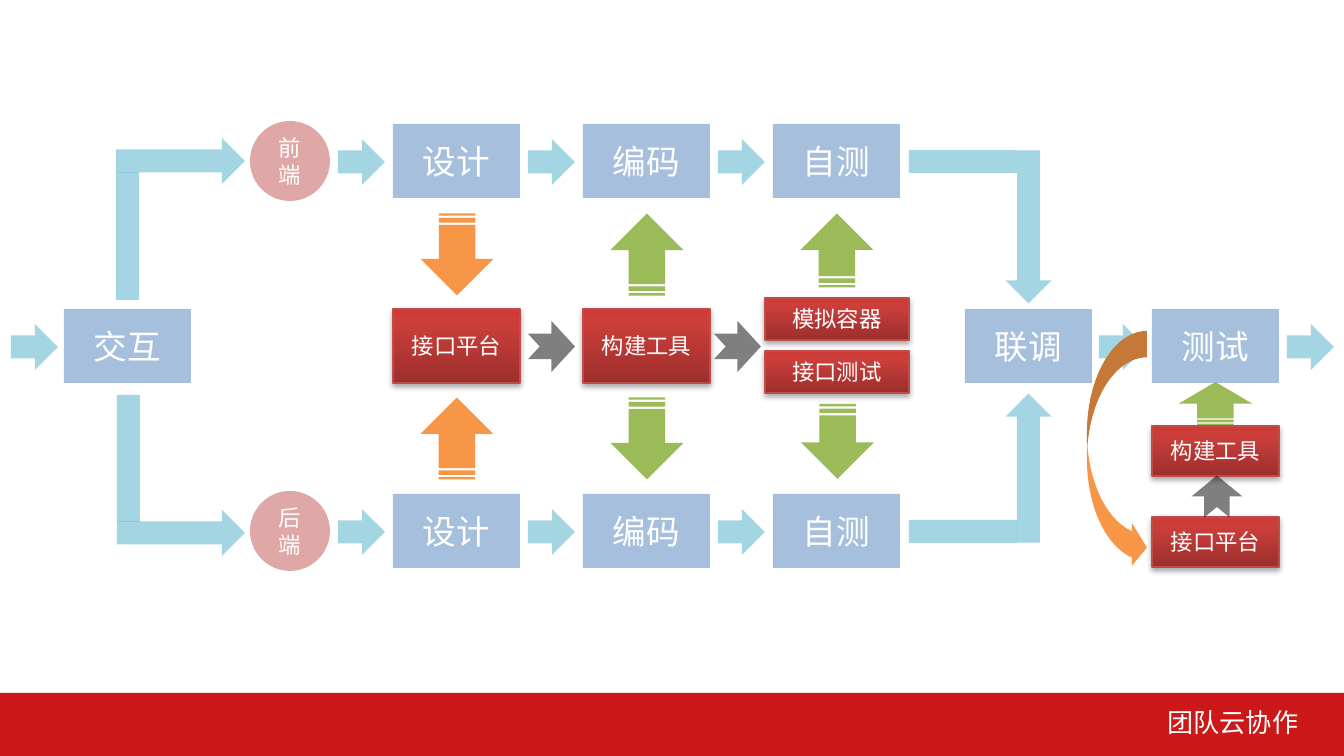
"""Build a slide of a front-end and back-end work flow."""
from pptx import Presentation
from pptx.dml.color import RGBColor
from pptx.enum.shapes import MSO_SHAPE as Kind
from pptx.enum.text import MSO_ANCHOR as Anchor, MSO_AUTO_SIZE as Fit, PP_ALIGN as Align
from pptx.oxml import parse_xml
from pptx.oxml.ns import nsdecls
from pptx.util import Pt
from lxml.etree import SubElement

PX = 914400 / 134.4
FONT = "Noto Sans CJK SC"
NS = nsdecls("a")
HUE = {
    "bar": "CC1818", "step": "4F81BD", "team": "C0504D", "flow": "4BACC6",
    "give": "F79646", "take": "9BBB59", "next": "000000", "edge": "BF4C48",
    "text": "FFFFFF", "dark": "9C2F2D", "mid": "CB3E3A", "top": "CE3B37",
}
CLEAR = ("step", "team", "flow", "next")

deck = Presentation()
deck.slide_width, deck.slide_height = round(1344 * PX), round(756 * PX)
slide = deck.slides.add_slide(deck.slide_layouts[5])


def draw(kind, box, hue=None, turn=0):
    shape = slide.shapes.add_shape(kind, *[round(n * PX) for n in box])
    shape.rotation = turn
    shape.shadow.inherit = False
    shape.line.fill.background()
    if hue:
        shape.fill.solid()
        shape.fill.fore_color.rgb = RGBColor.from_string(HUE[hue])
    if hue in CLEAR:
        color = shape.element.spPr.find(".//{*}solidFill/{*}srgbClr")
        color.append(parse_xml(f'<a:alpha {NS} val="50000"/>'))
    return shape


def write(shape, text, size, align=Align.CENTER, anchor=Anchor.MIDDLE):
    frame = shape.text_frame
    frame.word_wrap = True
    frame.auto_size = Fit.NONE
    frame.vertical_anchor = anchor
    para = frame.paragraphs[0]
    para.alignment = align
    run = para.add_run()
    run.text = text
    run.font.size = Pt(size)
    run.font.name = FONT
    run.font.color.rgb = RGBColor.from_string(HUE["text"])
    props = run.font._element
    SubElement(props, props.tag.replace("rPr", "ea"), typeface=FONT)


bar = draw(Kind.RECTANGLE, (0, 693, 1344, 63), "bar")
title = slide.shapes.title
title.left, title.top, title.width, title.height = [round(n * PX) for n in (491, 700, 821, 40)]
write(title, "团队云协作", 14, Align.RIGHT, Anchor.TOP)
title.element.addprevious(bar.element)

steps = [("交互", 64, 309), ("联调", 965, 309), ("测试", 1152, 309)]
arrows = [(11, 324), (1099, 324), (1287, 324)]
for row, team in enumerate(("前端", "后端")):
    drop = row * 370
    write(draw(Kind.FLOWCHART_CONNECTOR, (250, 121 + drop, 80, 80), "team"), team, 12)
    for col, step in enumerate(("设计", "编码", "自测")):
        steps.append((step, 393 + col * 190, 124 + drop))
        arrows.append((338 + col * 190, 139 + drop))
    draw(Kind.RECTANGLE, (909, 150 + drop, 108, 23), "flow")

for step, x, y in steps:
    write(draw(Kind.RECTANGLE, (x, y, 127, 74), "step"), step, 18)
for x, y in arrows:
    draw(Kind.RIGHT_ARROW, (x, y, 47, 46), "flow")

for box, turn in [
    ((116, 138, 129, 46), 0), ((117, 510, 128, 46), 0),
    ((952, 204, 153, 46), 90), ((954, 445, 149, 46), 270),
]:
    draw(Kind.RIGHT_ARROW, box, "flow", turn)
for box in [(116, 172, 23, 128), (117, 395, 23, 127)]:
    draw(Kind.RECTANGLE, box, "flow")

for box, hue, turn in [
    ((416, 218, 82, 73), "give", 90), ((416, 402, 82, 73), "give", 270),
    ((606, 218, 82, 73), "take", 270), ((606, 402, 82, 73), "take", 90),
    ((800, 214, 74, 73), "take", 270), ((800, 405, 75, 73), "take", 90),
    ((1194, 367, 43, 73), "take", 270),
]:
    draw(Kind.STRIPED_RIGHT_ARROW, box, hue, turn)

stops = "".join(
    f'<a:gs pos="{pos}000"><a:srgbClr val="{HUE[hue]}"/></a:gs>'
    for pos, hue in ((0, "dark"), (80, "mid"), (100, "top"))
)
for tool, box in [
    ("接口平台", (393, 309, 127, 74)), ("构建工具", (583, 309, 127, 74)),
    ("模拟容器", (765, 298, 144, 42)), ("接口测试", (765, 351, 144, 42)),
    ("接口平台", (1152, 517, 127, 50)), ("构建工具", (1152, 426, 127, 50)),
]:
    shape = draw(Kind.RECTANGLE, box)
    shape.line.color.rgb = RGBColor.from_string(HUE["edge"])
    shape.line.width = Pt(0.75)
    props = shape.element.spPr
    props.find("{*}prstGeom").addnext(parse_xml(
        f'<a:gradFill {NS} rotWithShape="1"><a:gsLst>{stops}</a:gsLst>'
        '<a:lin ang="16200000" scaled="0"/></a:gradFill>'))
    props.find("{*}effectLst").append(parse_xml(
        f'<a:outerShdw {NS} blurRad="{Pt(3.1)}" dist="{Pt(1.8)}" dir="5400000" rotWithShape="0">'
        '<a:srgbClr val="000000"><a:alpha val="35000"/></a:srgbClr></a:outerShdw>'))
    write(shape, tool, 12)

for box, turn in [((528, 321, 47, 51), 0), ((714, 321, 47, 51), 0), ((1196, 471, 42, 51), 270)]:
    draw(Kind.NOTCHED_RIGHT_ARROW, box, "next", turn)

loop = draw(Kind.CURVED_RIGHT_ARROW, (1087, 331, 60, 238), "give")
for i, val in enumerate((0.44, 0.71, 0.25)):
    loop.adjustments[i] = val

deck.save("out.pptx")
